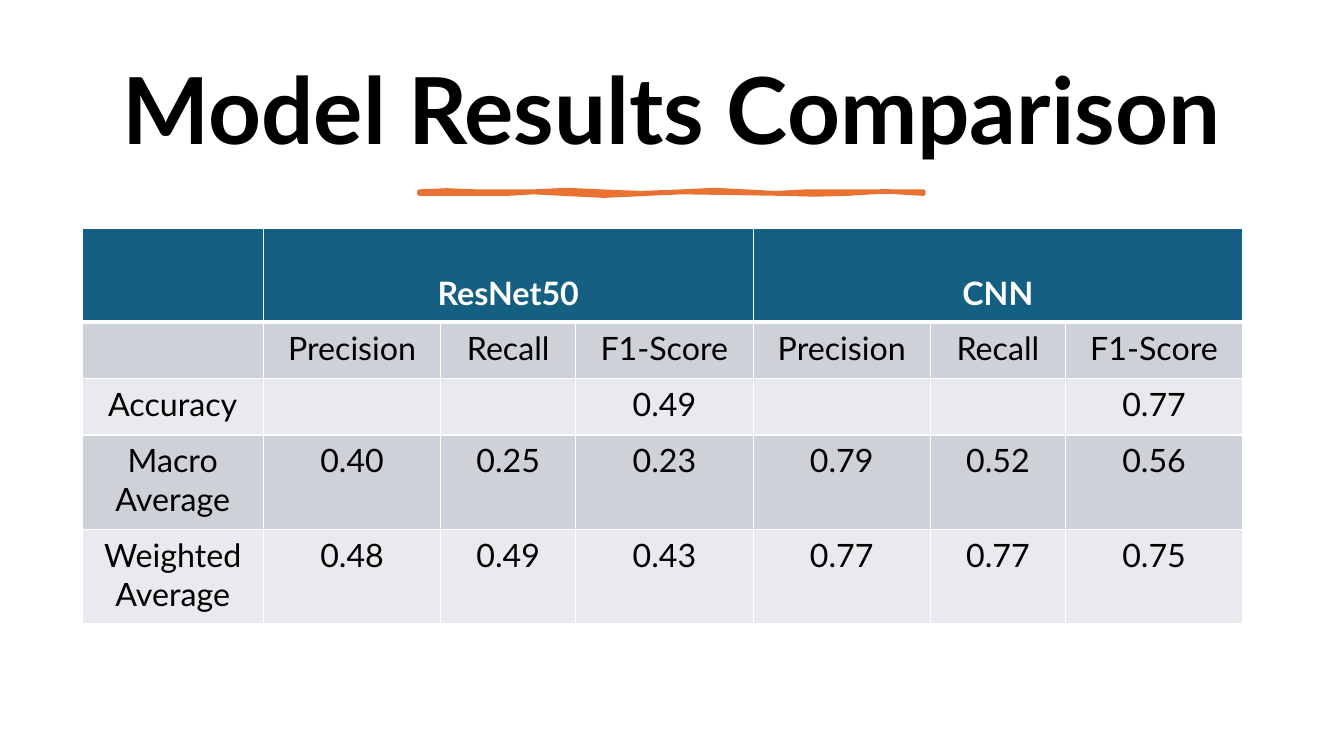
from dataclasses import dataclass
from typing import NamedTuple

from lxml import etree
from pptx import Presentation
from pptx.dml.color import RGBColor
from pptx.enum.text import MSO_ANCHOR, PP_ALIGN
from pptx.oxml.ns import qn
from pptx.util import Cm, Pt

CENTER = PP_ALIGN.CENTER
TOP, MIDDLE, BOTTOM = MSO_ANCHOR.TOP, MSO_ANCHOR.MIDDLE, MSO_ANCHOR.BOTTOM


@dataclass(frozen=True)
class Theme:
    font: str = "Lato"
    ink: str = "000000"
    white: str = "FFFFFF"
    accent: str = "E97132"
    header: str = "156082"
    bands: tuple[str, str] = ("CCD2D8", "E8EAED")
    title_size: float = 66
    table_size: float = 23
    stroke: float = 3.25
    thin_border: float = 1
    thick_border: float = 3


THEME = Theme()


class Point(NamedTuple):
    x: float
    y: float


class ResultRow(NamedTuple):
    height: float
    texts: tuple[str, ...]


METRICS = ("Precision", "Recall", "F1-Score")
MODELS = ("ResNet50", "CNN")
HEADER_HEIGHT = 2.37
RESULT_ROWS = (
    ResultRow(1.42, ("", *METRICS * len(MODELS))),
    ResultRow(1.42, ("Accuracy", "", "", "0.49", "", "", "0.77")),
    ResultRow(2.38, ("Macro Average", "0.40", "0.25", "0.23", "0.79", "0.52", "0.56")),
    ResultRow(2.38, ("Weighted Average", "0.48", "0.49", "0.43", "0.77", "0.77", "0.75")),
)
LABEL_WIDTH = 4.57
METRIC_WIDTHS = (4.47, 3.4, 4.47)
CELL_MARGIN = 0.15
HEADING_MARGIN = 0.25

# Hand-drawn underline, in centimetres: upper edge right, lower edge back left
UNDERLINE = tuple(Point(x, y) for x, y in (
    (10.57, 4.83), (11.27, 4.8), (12.01, 4.83), (13.44, 4.83), (14.3, 4.79),
    (15.14, 4.83), (16.14, 4.87), (17.2, 4.83), (17.99, 4.79), (18.77, 4.83),
    (19.53, 4.87), (20.32, 4.83), (23.27, 4.83), (23.27, 4.88), (22.3, 4.82),
    (21.34, 4.88), (20.54, 4.9), (19.79, 4.88), (17.2, 4.84), (16.28, 4.88),
    (15.23, 4.93), (14.2, 4.88), (13.44, 4.84), (12.78, 4.88), (10.57, 4.88),
))


def write(paragraph, text: str, size: float, color: str, bold: bool = False) -> None:
    paragraph.alignment = CENTER
    run = paragraph.add_run()
    run.text = text
    run.font.name = THEME.font
    run.font.size = Pt(size)
    run.font.bold = bold
    run.font.color.rgb = RGBColor.from_string(color)


def draw_title(slide, text: str) -> None:
    title = slide.shapes.add_textbox(Cm(1.78), Cm(1.15), Cm(30.3), Cm(3.48))
    frame = title.text_frame
    frame.word_wrap = True
    frame.vertical_anchor = MIDDLE
    paragraph = frame.paragraphs[0]
    paragraph.line_spacing = 0.9
    paragraph.space_after = Pt(6)
    write(paragraph, text, THEME.title_size, THEME.ink, bold=True)


def draw_underline(slide) -> None:
    start, *outline = ((Cm(p.x), Cm(p.y)) for p in UNDERLINE)
    builder = slide.shapes.build_freeform(*start)
    builder.add_line_segments(outline, close=True)
    underline = builder.convert_to_shape()
    underline.shadow.inherit = False
    underline.fill.solid()
    underline.fill.fore_color.rgb = RGBColor.from_string(THEME.accent)
    underline.line.color.rgb = RGBColor.from_string(THEME.accent)
    underline.line.width = Pt(THEME.stroke)


def set_borders(cell, bottom: float) -> None:
    properties = cell._tc.get_or_add_tcPr()
    widths = {"a:lnL": THEME.thin_border, "a:lnR": THEME.thin_border,
              "a:lnT": THEME.thin_border, "a:lnB": bottom}
    for position, (tag, width) in enumerate(widths.items()):
        border = etree.Element(qn(tag), w=str(Pt(width)))
        fill = etree.SubElement(border, qn("a:solidFill"))
        etree.SubElement(fill, qn("a:srgbClr"), val=THEME.white)
        properties.insert(position, border)


def style_cell(cell, fill: str, anchor: MSO_ANCHOR, bottom: float) -> None:
    cell.fill.solid()
    cell.fill.fore_color.rgb = RGBColor.from_string(fill)
    cell.vertical_anchor = anchor
    cell.margin_left = cell.margin_right = Cm(0.33)
    cell.margin_top = cell.margin_bottom = Cm(CELL_MARGIN)
    set_borders(cell, bottom)


def draw_results(slide) -> None:
    widths = (LABEL_WIDTH, *METRIC_WIDTHS * len(MODELS))
    heights = (HEADER_HEIGHT, *(row.height for row in RESULT_ROWS))
    table = slide.shapes.add_table(
        len(heights), len(widths), Cm(2.07), Cm(5.75),
        Cm(sum(widths)), Cm(sum(heights))).table
    table.horz_banding = False
    for column, width in zip(table.columns, widths):
        column.width = Cm(width)
    for row, height in zip(table.rows, heights):
        row.height = Cm(height)

    # Header: one merged cell per model
    for column in range(len(widths)):
        style_cell(table.cell(0, column), THEME.header, BOTTOM, THEME.thick_border)
    for index, model in enumerate(MODELS):
        first = 1 + index * len(METRICS)
        heading = table.cell(0, first)
        heading.merge(table.cell(0, first + len(METRICS) - 1))
        heading.margin_bottom = Cm(HEADING_MARGIN)
        write(heading.text_frame.paragraphs[0], model,
              THEME.table_size, THEME.white, bold=True)

    # Metric names and values on alternating bands
    for row_index, row in enumerate(RESULT_ROWS, start=1):
        band = THEME.bands[(row_index - 1) % len(THEME.bands)]
        for column, text in enumerate(row.texts):
            cell = table.cell(row_index, column)
            style_cell(cell, band, TOP, THEME.thin_border)
            if text:
                write(cell.text_frame.paragraphs[0], text, THEME.table_size, THEME.ink)


def main() -> None:
    deck = Presentation()
    deck.slide_width, deck.slide_height = Cm(33.87), Cm(19.05)
    slide = deck.slides.add_slide(deck.slide_layouts[6])
    draw_title(slide, "Model Results Comparison")
    draw_underline(slide)
    draw_results(slide)
    deck.save("out.pptx")


if __name__ == "__main__":
    main()
